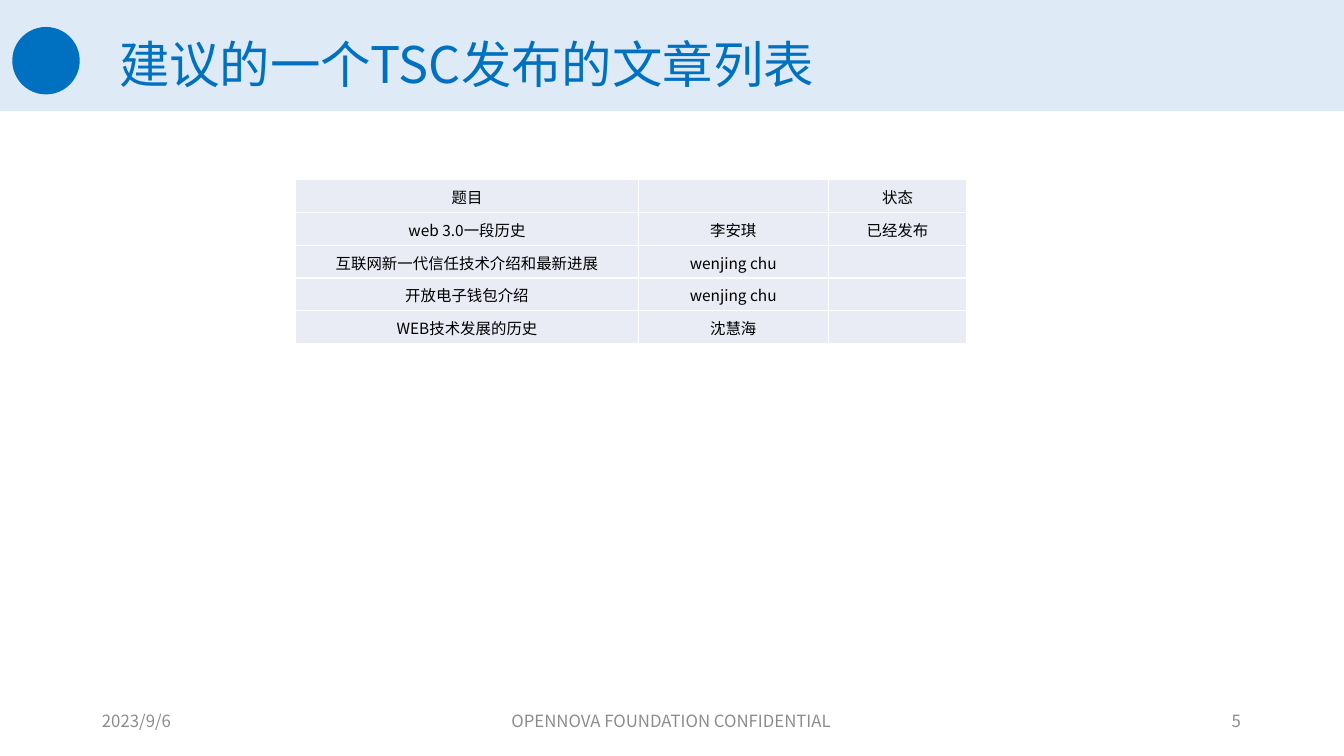
from lxml import etree
from pptx import Presentation
from pptx.dml.color import RGBColor
from pptx.enum.shapes import MSO_SHAPE
from pptx.enum.text import MSO_ANCHOR, PP_ALIGN
from pptx.oxml.ns import qn
from pptx.util import Cm, Pt

RECT, OVAL = MSO_SHAPE.RECTANGLE, MSO_SHAPE.OVAL
MIDDLE = MSO_ANCHOR.MIDDLE
LEFT, CENTER, RIGHT = PP_ALIGN.LEFT, PP_ALIGN.CENTER, PP_ALIGN.RIGHT

FONT = "Noto Sans CJK SC"
BLUE, PALE_BLUE, GREY = "0070C0", "DEEBF7", "8C8C8C"
CELL_FILL, WHITE, BLACK = "E9EBF5", "FFFFFF", "000000"

COLUMN_WIDTHS = [8.64, 4.78, 3.5]
ROW_HEIGHT = 0.825
CELL_SIZE = 11
ARTICLES = [
    ["题目", "", "状态"],
    ["web 3.0一段历史", "李安琪", "已经发布"],
    ["互联网新一代信任技术介绍和最新进展", "wenjing chu", ""],
    ["开放电子钱包介绍", "wenjing chu", ""],
    ["WEB技术发展的历史", "沈慧海", ""],
]


def rgb(value):
    return RGBColor.from_string(value)


def write(tf, text, size=12, color=BLACK, align=LEFT, spacing=None):
    p = tf.paragraphs[0]
    p.alignment = align
    p.line_spacing = spacing
    if not text:
        # An empty paragraph takes its height from its end mark.
        etree.SubElement(p._p, qn("a:endParaRPr"), sz=str(size * 100))
        return
    r = p.add_run()
    r.text = text
    r.font.size = Pt(size)
    r.font.name = FONT
    r.font.color.rgb = rgb(color)
    etree.SubElement(r.font._element, qn("a:ea"), typeface=FONT)


def add_text(s, text, left, top, width, height, **fmt):
    sp = s.shapes.add_textbox(Cm(left), Cm(top), Cm(width), Cm(height))
    tf = sp.text_frame
    tf.word_wrap = True
    tf.vertical_anchor = MIDDLE
    write(tf, text, **fmt)


def add_block(s, kind, left, top, width, height, fill):
    sp = s.shapes.add_shape(kind, Cm(left), Cm(top), Cm(width), Cm(height))
    sp.shadow.inherit = False
    sp.fill.solid()
    sp.fill.fore_color.rgb = rgb(fill)
    sp.line.fill.background()


def set_borders(cell, color, width):
    tcPr = cell._tc.get_or_add_tcPr()
    for side in ("lnL", "lnR", "lnT", "lnB"):
        ln = etree.SubElement(tcPr, qn(f"a:{side}"), w=str(Pt(width)))
        fill = etree.SubElement(ln, qn("a:solidFill"))
        etree.SubElement(fill, qn("a:srgbClr"), val=color)


def format_cell(cell, text):
    set_borders(cell, WHITE, 1)
    cell.fill.solid()
    cell.fill.fore_color.rgb = rgb(CELL_FILL)
    cell.vertical_anchor = MIDDLE
    cell.margin_left = cell.margin_right = cell.margin_top = Cm(0.03)
    cell.margin_bottom = 0
    write(cell.text_frame, text, size=CELL_SIZE, align=CENTER)


def add_article_table(s, left, top):
    table = s.shapes.add_table(
        len(ARTICLES), len(COLUMN_WIDTHS), Cm(left), Cm(top),
        Cm(sum(COLUMN_WIDTHS)), Cm(ROW_HEIGHT * len(ARTICLES))).table
    for column, width in zip(table.columns, COLUMN_WIDTHS):
        column.width = Cm(width)
    for i, article in enumerate(ARTICLES):
        table.rows[i].height = Cm(ROW_HEIGHT)
        for j, text in enumerate(article):
            format_cell(table.cell(i, j), text)


def add_footer(s):
    for text, left, width, align in [
        ("2023/9/6", 2.32, 7.62, LEFT),
        ("OPENNOVA FOUNDATION CONFIDENTIAL", 11.2, 11.43, CENTER),
        ("5", 23.9, 7.62, RIGHT),
    ]:
        add_text(s, text, left, 17.65, width, 1.02, color=GREY, align=align)


def main():
    prs = Presentation()
    prs.slide_width, prs.slide_height = Cm(33.87), Cm(19.05)
    s = prs.slides.add_slide(prs.slide_layouts[6])
    add_block(s, RECT, 0, 0, 33.87, 2.8, PALE_BLUE)
    add_block(s, OVAL, 0.31, 0.68, 1.7, 1.7, BLUE)
    add_text(s, "建议的一个TSC发布的文章列表", 2.75, 0.74, 29.21, 1.93,
             size=36, color=BLUE, spacing=0.9)
    add_article_table(s, 7.45, 4.53)
    add_footer(s)
    prs.save("out.pptx")


if __name__ == "__main__":
    main()
